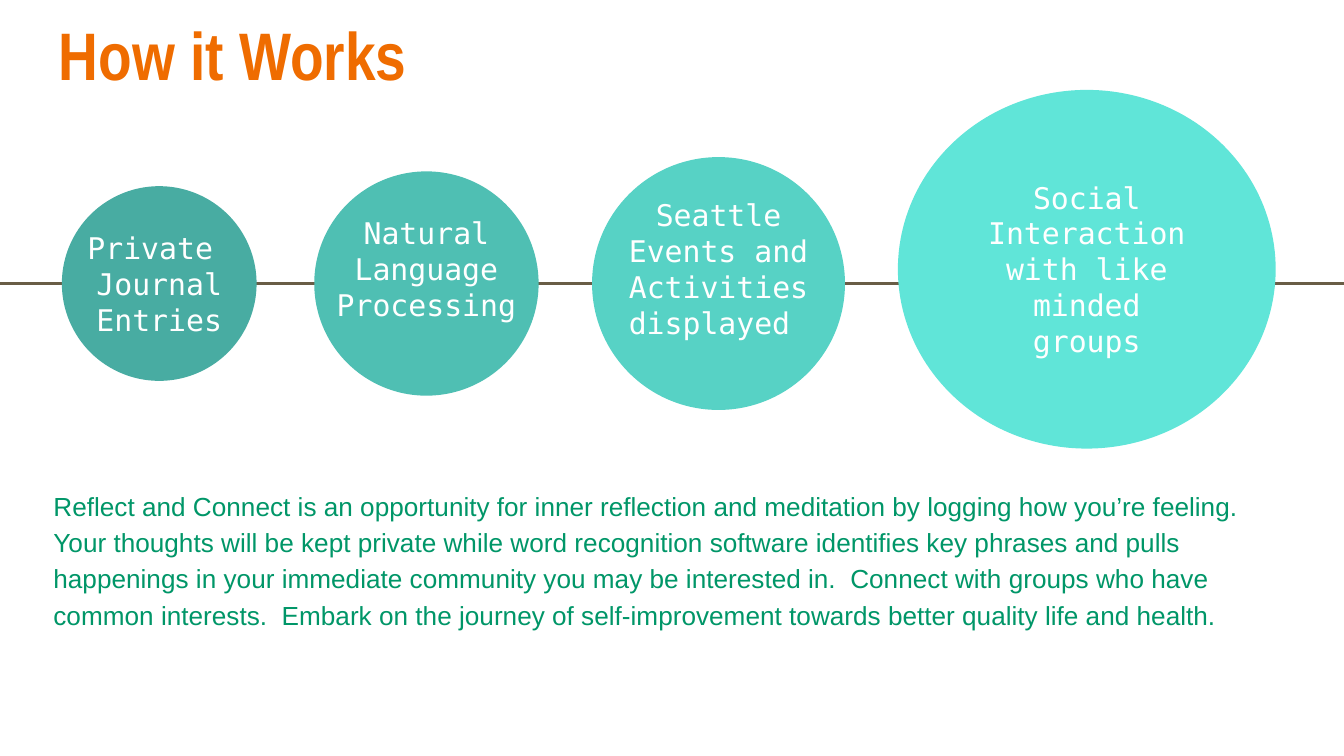
from dataclasses import dataclass

from lxml.etree import SubElement
from pptx import Presentation
from pptx.dml.color import RGBColor
from pptx.enum.shapes import MSO_CONNECTOR, MSO_SHAPE
from pptx.enum.text import MSO_ANCHOR, MSO_AUTO_SIZE, PP_ALIGN
from pptx.oxml.ns import qn
from pptx.slide import Slide
from pptx.text.text import TextFrame
from pptx.util import Cm, Pt

WIDE, HIGH = 25.4, 14.29
AXIS = 5.36
INSET = 0.25


@dataclass
class Font:
    name: str
    size: int
    tint: str
    bold: bool = False


@dataclass
class Step:
    lines: list[str]
    mid: float
    wide: float
    high: float
    tint: str
    span: float
    row: float = 5.08
    axis: float = AXIS


HEAD = Font("Arial Narrow", 36, "EF6C00", True)
MONO = Font("DejaVu Sans Mono", 16, "FFFFFF")
BODY = Font("Arial", 14, "009668")

STEPS = [
    Step(["Private ", "Journal Entries"], 3.01, 3.68, 3.68, "48ACA2", 3.68, AXIS),
    Step(["Natural Language", "Processing"], 8.06, 4.24, 4.24, "4FBFB3", 4.24),
    Step(["Seattle Events and Activities displayed "],
         13.58, 4.78, 4.78, "57D2C5", 4.62),
    Step(["Social Interaction with like minded groups"],
         20.54, 7.14, 6.78, "60E5D8", 4.78, axis=5.09),
]

ABOUT = (
    "Reflect and Connect is an opportunity for inner reflection and "
    "meditation by logging how you’re feeling.  Your thoughts will be kept "
    "private while word recognition software identifies key phrases and "
    "pulls happenings in your immediate community you may be interested "
    "in.  Connect with groups who have common interests.  Embark on the "
    "journey of self-improvement towards better quality life and health."
)


def color(code: str) -> RGBColor:
    return RGBColor.from_string(code)


def write(frame: TextFrame, lines: list[str], font: Font,
          align: PP_ALIGN, anchor: MSO_ANCHOR) -> None:
    frame.word_wrap = True
    frame.auto_size = MSO_AUTO_SIZE.NONE
    frame.vertical_anchor = anchor
    frame.margin_left = frame.margin_right = Cm(INSET)
    frame.margin_top = frame.margin_bottom = Cm(INSET)
    for num, line in enumerate(lines):
        para = frame.add_paragraph() if num else frame.paragraphs[0]
        para.alignment = align
        run = para.add_run()
        run.text = line
        run.font.name = font.name
        run.font.size = Pt(font.size)
        run.font.bold = font.bold
        run.font.color.rgb = color(font.tint)


def add_title(slide: Slide, text: str) -> None:
    title = slide.shapes.title
    title.left, title.top = Cm(0.86), Cm(0)
    title.width, title.height = Cm(23.67), Cm(1.96)
    write(title.text_frame, [text], HEAD, PP_ALIGN.LEFT, MSO_ANCHOR.TOP)


def add_axis(slide: Slide) -> None:
    line = slide.shapes.add_connector(
        MSO_CONNECTOR.STRAIGHT, Cm(0), Cm(AXIS), Cm(WIDE), Cm(AXIS))
    line.line.color.rgb = color("695D46")
    line.line.width = Pt(1.5)
    SubElement(line._element.spPr, qn("a:effectLst"))


def add_step(slide: Slide, step: Step) -> None:
    disc = slide.shapes.add_shape(
        MSO_SHAPE.OVAL, Cm(step.mid - step.wide / 2),
        Cm(step.axis - step.high / 2), Cm(step.wide), Cm(step.high))
    disc.shadow.inherit = False
    disc.fill.solid()
    disc.fill.fore_color.rgb = color(step.tint)
    disc.line.fill.background()
    tall = 1.68
    label = slide.shapes.add_textbox(
        Cm(step.mid - step.span / 2), Cm(step.row - tall / 2),
        Cm(step.span), Cm(tall))
    write(label.text_frame, step.lines, MONO,
          PP_ALIGN.CENTER, MSO_ANCHOR.MIDDLE)


def add_about(slide: Slide) -> None:
    box = slide.shapes.add_textbox(Cm(0.76), Cm(8.94), Cm(23.39), Cm(1.19))
    write(box.text_frame, [ABOUT], BODY, PP_ALIGN.LEFT, MSO_ANCHOR.TOP)
    para = box.text_frame.paragraphs[0]
    para.line_spacing = 1.15
    para.space_after = Pt(10)


def main() -> None:
    deck = Presentation()
    deck.slide_width, deck.slide_height = Cm(WIDE), Cm(HIGH)
    slide = deck.slides.add_slide(deck.slide_layouts[5])
    add_title(slide, "How it Works")
    add_axis(slide)
    for step in STEPS:
        add_step(slide, step)
    add_about(slide)
    deck.save("out.pptx")


if __name__ == "__main__":
    main()
